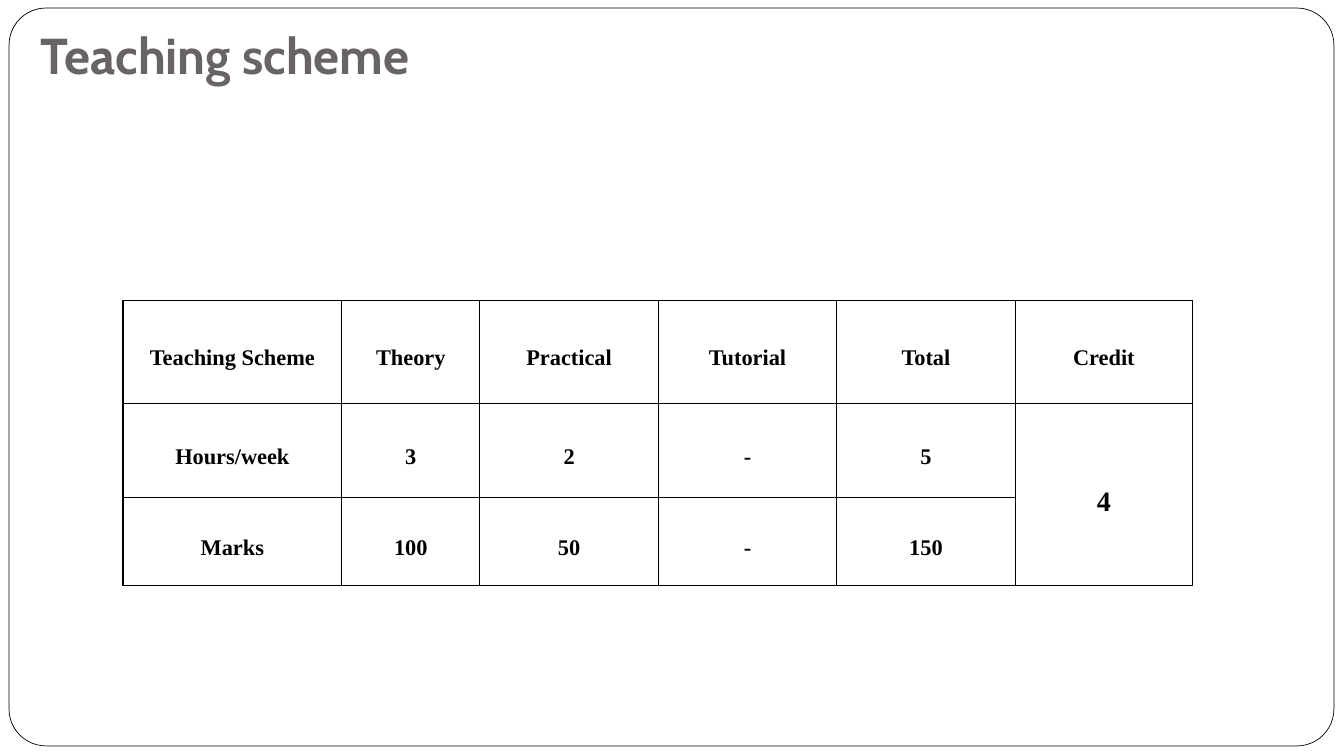
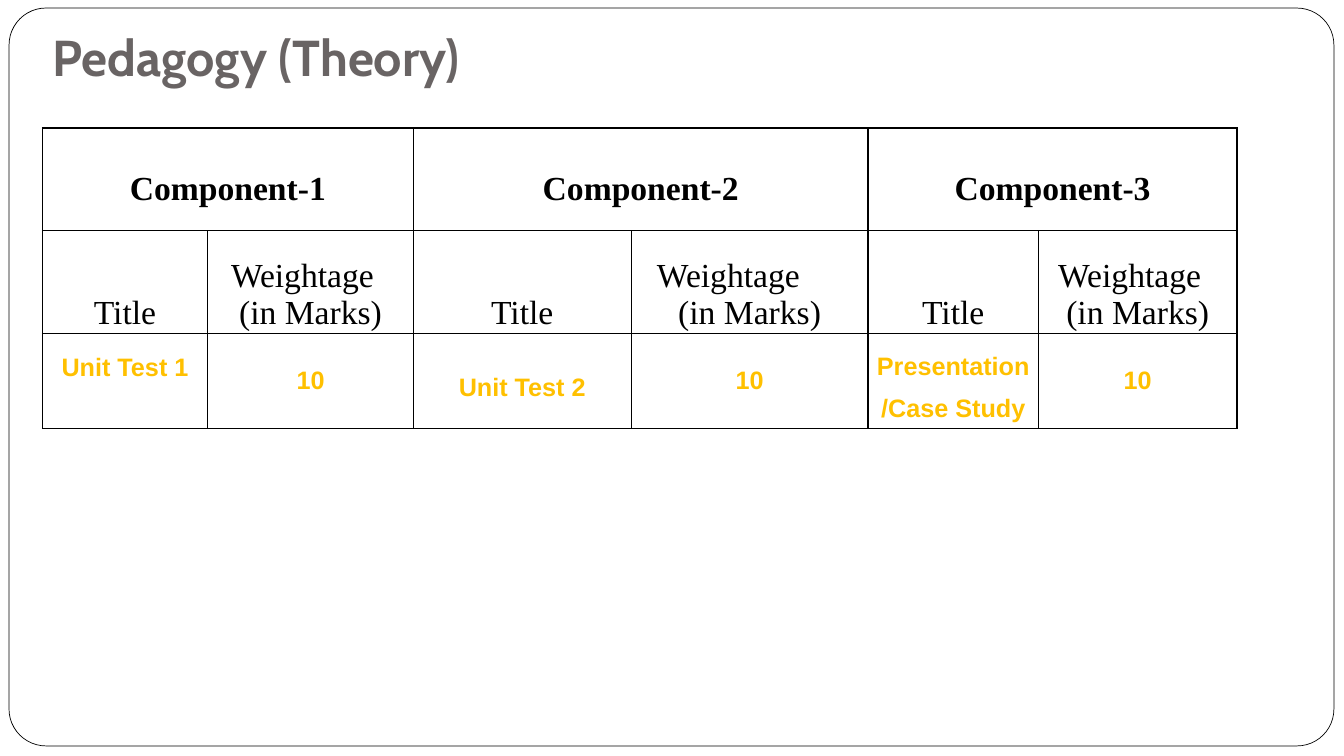
"""Build two slides that show a course's teaching scheme and marks."""
from dataclasses import dataclass, replace
from typing import Optional

from lxml.etree import SubElement
from pptx import Presentation
from pptx.dml.color import RGBColor
from pptx.enum.shapes import MSO_SHAPE as Kind
from pptx.enum.text import MSO_ANCHOR as Anchor, PP_ALIGN as Align
from pptx.oxml.ns import qn
from pptx.util import Inches, Pt

BLACK, WHITE, GREY, GOLD = "000000", "FFFFFF", "696464", "FFC000"
SIDES = ("left", "top", "right", "bottom")


@dataclass(frozen=True)
class Style:
    face: str
    size: int
    tint: str = BLACK
    bold: bool = True
    space: float = 1.0
    anchor: Anchor = Anchor.MIDDLE
    pad: tuple = (0.07, 0, 0.07, 0)


@dataclass(frozen=True)
class Item:
    text: str
    style: Style
    rows: int = 1
    cols: int = 1
    shift: float = 0


@dataclass(frozen=True)
class Grid:
    left: float
    top: float
    cols: tuple
    rows: tuple
    items: list[list[Optional[Item]]]


TITLE = Style("Cabin", 36, GREY, anchor=Anchor.BOTTOM, pad=(0.1, 0.05, 0.1, 0.1))
LABEL = Style("Times New Roman", 16, space=1.5)
LARGE = replace(LABEL, size=20)
HEAD = replace(LABEL, size=24)
SUB = replace(HEAD, bold=False, space=1.0, anchor=Anchor.BOTTOM,
              pad=(0.03, 0.02, 0.03, 0.02))
MARK = Style("Arial", 18, GOLD)
TEST = replace(MARK, space=1.5)
HIGH = replace(TEST, anchor=Anchor.TOP, pad=(0.07, 0.06, 0.07, 0))


def paint(code: str) -> RGBColor:
    """Turn a hex string into a colour."""
    return RGBColor.from_string(code)


def assign(thing, values: dict) -> None:
    """Set each named value on an object."""
    for name, value in values.items():
        setattr(thing, name, value)


def format_text(frame, style: Style, align: Align, shift: float = 0) -> None:
    """Style every line, moving the later ones right by the shift."""
    for index, line in enumerate(frame.paragraphs):
        if index and shift:
            line._p.get_or_add_pPr().set("marL", str(Inches(shift)))
        assign(line, {"alignment": align, "line_spacing": style.space})
        for run in line.runs:
            assign(run.font, {"name": style.face, "size": Pt(style.size),
                              "bold": style.bold})
            run.font.color.rgb = paint(style.tint)


def pads(style: Style) -> dict:
    """Give the inner margins of a style by name."""
    return {f"margin_{side}": Inches(pad) for side, pad in zip(SIDES, style.pad)}


def add_lines(cell) -> None:
    """Draw a thin black line on all sides of a cell."""
    props = cell._tc.get_or_add_tcPr()
    for side in "LRTB":
        line = SubElement(props, qn(f"a:ln{side}"), w=str(Pt(1)))
        fill = SubElement(line, qn("a:solidFill"))
        SubElement(fill, qn("a:srgbClr"), val=BLACK)


def add_page(deck, title: str, left: float, top: float):
    """Add a slide with the round frame and a title."""
    slide = deck.slides.add_slide(deck.slide_layouts[6])
    frame = slide.shapes.add_shape(
        Kind.ROUNDED_RECTANGLE, *map(Inches, (0.09, 0.08, 13.14, 7.32)))
    frame.adjustments[0] = 0.05
    frame.shadow.inherit = False
    frame.fill.solid()
    frame.fill.fore_color.rgb = paint(WHITE)
    frame.line.color.rgb = paint(BLACK)
    frame.line.width = Pt(0.5)
    box = slide.shapes.add_textbox(*map(Inches, (left, top, 7.42, 0.75)))
    text = box.text_frame
    assign(text, {"word_wrap": True, "vertical_anchor": TITLE.anchor,
                  "text": title, **pads(TITLE)})
    format_text(text, TITLE, Align.LEFT)
    return slide


def fill_cell(cell, item: Item) -> None:
    """Write one item in its cell."""
    assign(cell, {"text": item.text, "vertical_anchor": item.style.anchor,
                  **pads(item.style)})
    cell.margin_right += Inches(item.shift)
    format_text(cell.text_frame, item.style, Align.CENTER, item.shift)


def add_grid(slide, grid: Grid) -> None:
    """Draw a table from a grid."""
    size = (grid.left, grid.top, sum(grid.cols), sum(grid.rows))
    table = slide.shapes.add_table(
        len(grid.rows), len(grid.cols), *map(Inches, size)).table
    assign(table, {"first_row": False, "horz_banding": False})
    for col, width in zip(table.columns, grid.cols):
        col.width = Inches(width)
    for row, height in zip(table.rows, grid.rows):
        row.height = Inches(height)
    for y, line in enumerate(grid.items):
        for x, item in enumerate(line):
            cell = table.cell(y, x)
            add_lines(cell)
            cell.fill.background()
            if item:
                if item.rows * item.cols > 1:
                    cell.merge(table.cell(y + item.rows - 1, x + item.cols - 1))
                fill_cell(cell, item)


def labels(*words: str) -> list[Optional[Item]]:
    """Make a row of plain labels."""
    return [Item(word, LABEL) for word in words]


def scheme() -> Grid:
    """Give the table of hours and marks."""
    items = [
        labels("Teaching Scheme", "Theory", "Practical", "Tutorial", "Total", "Credit"),
        labels("Hours/week", "3", "2", "-", "5") + [Item("4", LARGE, rows=2)],
        labels("Marks", "100", "50", "-", "150") + [None],
    ]
    return Grid(1.22, 2.98, (2.17, 1.37, 1.77, 1.77, 1.77, 1.76),
                (1.02, 0.94, 0.87), items)


def theory() -> Grid:
    """Give the table of parts and their weight."""
    parts = (("Unit Test 1", HIGH, 0.16), ("Unit Test 2", TEST, 0.42),
             ("Presentation/Case Study", TEST, 0.16))
    heads, subs, marks = [], [], []
    for count, (name, style, shift) in enumerate(parts, 1):
        heads += [Item(f"Component-{count}", HEAD, cols=2), None]
        subs += [Item("Title", SUB), Item("Weightage\n(in Marks)", SUB, shift=shift)]
        marks += [Item(name, style), Item("10", MARK)]
    return Grid(0.42, 1.27, (1.64, 2.04, 2.16, 2.35, 1.69, 1.97),
                (1.02, 1.02, 0.94), [heads, subs, marks])


def main() -> None:
    """Build and save the deck."""
    deck = Presentation()
    assign(deck, {"slide_width": Inches(13.33), "slide_height": Inches(7.5)})
    add_grid(add_page(deck, "Teaching scheme", 0.3, 0.19), scheme())
    add_grid(add_page(deck, "Pedagogy (Theory)", 0.42, 0.21), theory())
    deck.save("out.pptx")


if __name__ == "__main__":
    main()
